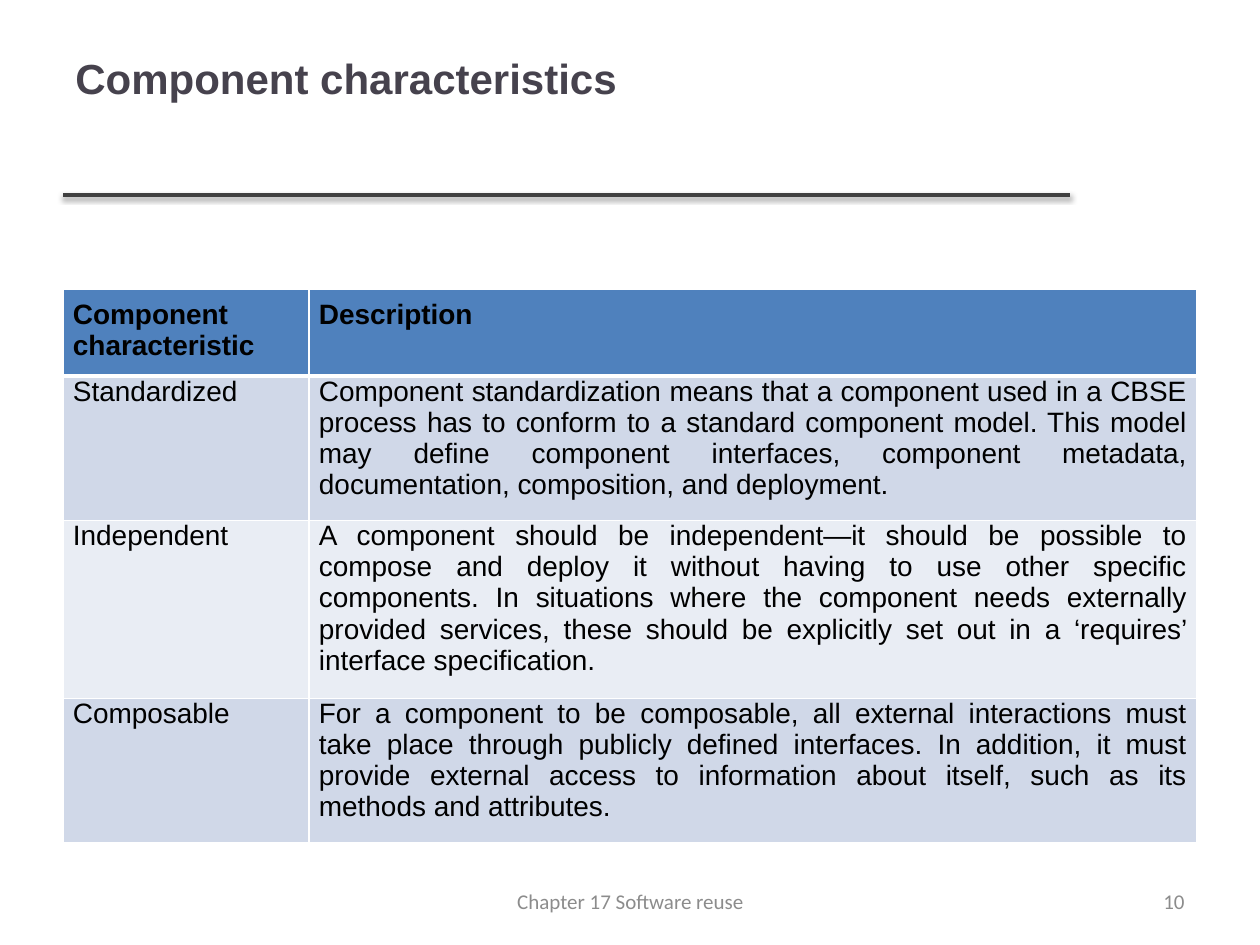
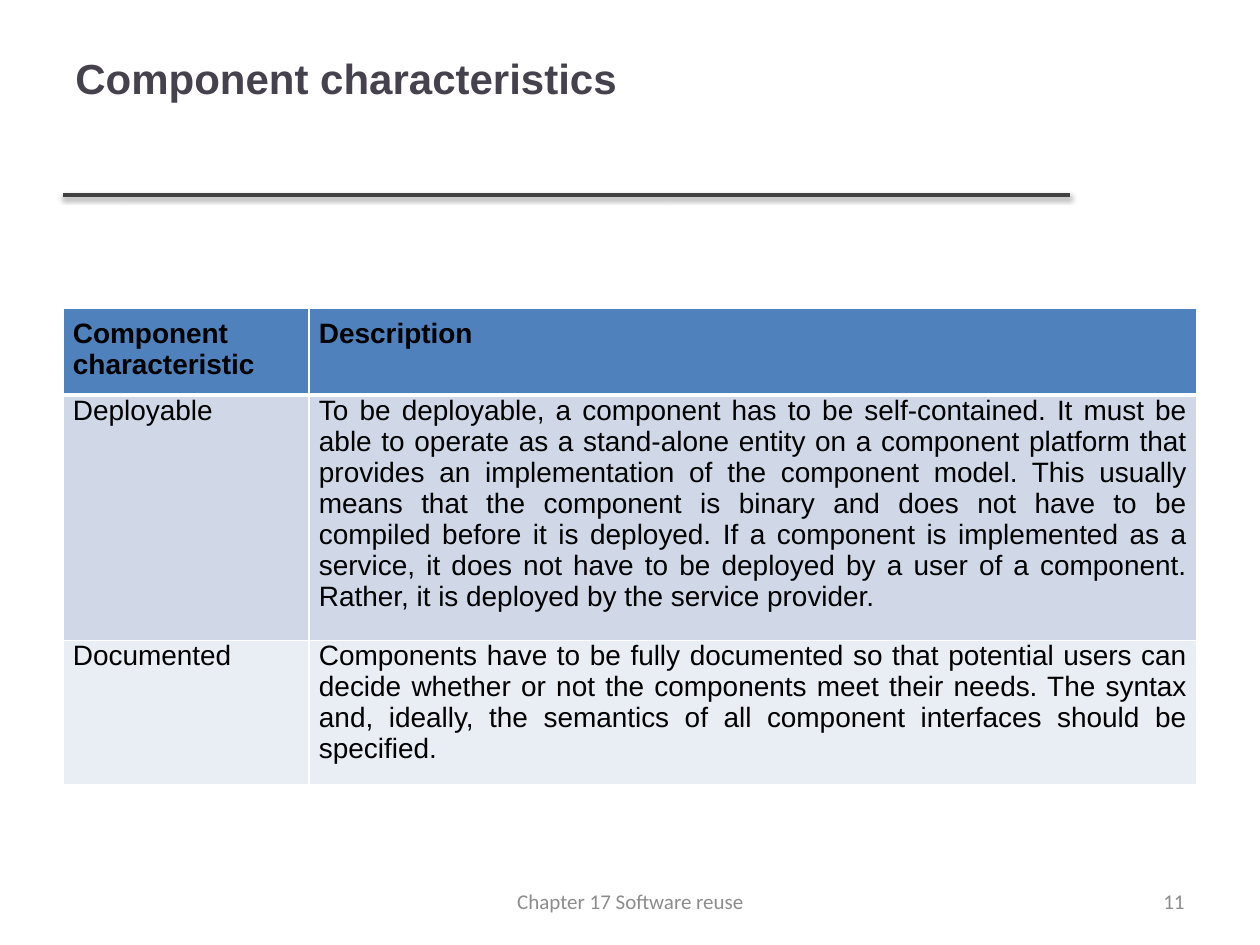
import dataclasses

import lxml.etree
import pptx
import pptx.dml.color
import pptx.enum.shapes
import pptx.enum.text
import pptx.oxml
import pptx.oxml.ns
import pptx.util

ALIGN = pptx.enum.text.PP_ALIGN
PX = 914400 / 126  # EMU in one px


@dataclasses.dataclass(frozen=True)
class Theme:
    title: str = "46424D"
    rule: str = "404040"
    foot: str = "8C8C8C"
    ink: str = "000000"
    head: str = "4F81BD"
    bands: tuple = ("D0D8E8", "E9EDF4")
    edge: str = "FFFFFF"
    font: str = "Arial"
    small: str = "Calibri"
    title_pt: int = 24
    cell_pt: int = 16
    foot_pt: int = 12


THEME = Theme()
LEFT, WIDE = 63, 1134
COLS = (246, 888)
HEAD_H, LINE_H, PAD = 82, 31, 10
HEADS = ("Component characteristic", "Description")

# Each row: name, description, number of text lines
PAGES = (
    (10, 289, (
        ("Standardized",
         "Component standardization means that a component used in a CBSE process "
         "has to conform to a standard component model. This model may define "
         "component interfaces, component metadata, documentation, composition, "
         "and deployment.", 4),
        ("Independent",
         "A component should be independent—it should be possible to compose and "
         "deploy it without having to use other specific components. In situations "
         "where the component needs externally provided services, these should be "
         "explicitly set out in a ‘requires’ interface specification.", 5),
        ("Composable",
         "For a component to be composable, all external interactions must take "
         "place through publicly defined interfaces. In addition, it must provide "
         "external access to information about itself, such as its methods and "
         "attributes.", 4),
    )),
    (11, 308, (
        ("Deployable",
         "To be deployable, a component has to be self-contained. It must be able "
         "to operate as a stand-alone entity on a component platform that provides "
         "an implementation of the component model. This usually means that the "
         "component is binary and does not have to be compiled before it is "
         "deployed. If a component is implemented as a service, it does not have "
         "to be deployed by a user of a component. Rather, it is deployed by the "
         "service provider.", 7),
        ("Documented",
         "Components have to be fully documented so that potential users can "
         "decide whether or not the components meet their needs. The syntax and, "
         "ideally, the semantics of all component interfaces should be "
         "specified.", 4),
    )),
)


def emu(px):
    return pptx.util.Emu(round(px * PX))


def rgb(code):
    return pptx.dml.color.RGBColor.from_string(code)


def write(frame, text, font, size, color, align, bold=False):
    para = frame.paragraphs[0]
    para.alignment = align
    run = para.add_run()
    run.text = text
    run.font.name = font
    run.font.size = pptx.util.Pt(size)
    run.font.bold = bold
    run.font.color.rgb = rgb(color)


def label(slide, box, text, font, size, color, align, bold=False):
    frame = slide.shapes.add_textbox(*map(emu, box)).text_frame
    frame.word_wrap = True
    frame.vertical_anchor = pptx.enum.text.MSO_ANCHOR.MIDDLE
    write(frame, text, font, size, color, align, bold)


def rule(slide):
    line = slide.shapes.add_connector(
        pptx.enum.shapes.MSO_CONNECTOR.STRAIGHT,
        emu(LEFT), emu(195), emu(1070), emu(195))
    line.line.color.rgb = rgb(THEME.rule)
    line.line.width = pptx.util.Pt(2)
    # Soft shadow straight below the line
    line._element.spPr.append(pptx.oxml.parse_xml(
        f'<a:effectLst {pptx.oxml.ns.nsdecls("a")}>'
        '<a:outerShdw blurRad="39370" dist="20320" dir="5400000" rotWithShape="0">'
        '<a:srgbClr val="000000"><a:alpha val="38000"/></a:srgbClr>'
        '</a:outerShdw></a:effectLst>'))


def edges(cell, widths):
    props = cell._tc.get_or_add_tcPr()
    for spot, (side, width) in enumerate(zip("LRTB", widths)):
        line = lxml.etree.Element(pptx.oxml.ns.qn("a:ln" + side),
                                  w=str(pptx.util.Pt(width)))
        fill = lxml.etree.SubElement(line, pptx.oxml.ns.qn("a:solidFill"))
        lxml.etree.SubElement(fill, pptx.oxml.ns.qn("a:srgbClr"), val=THEME.edge)
        props.insert(spot, line)


def fill_cell(cell, text, row):
    head = row == 0
    cell.margin_left = cell.margin_right = cell.margin_bottom = emu(10)
    cell.margin_top = emu(10 if head else 0)
    cell.fill.solid()
    cell.fill.fore_color.rgb = rgb(THEME.head if head else THEME.bands[(row - 1) % 2])
    edges(cell, (1, 1, 3 if row == 1 else 1, 3 if head else 1))
    write(cell.text_frame, text, THEME.font, THEME.cell_pt, THEME.ink,
          ALIGN.JUSTIFY, head)


def grid(slide, top, rows):
    highs = [HEAD_H] + [lines * LINE_H + PAD for _, _, lines in rows]
    table = slide.shapes.add_table(
        len(highs), len(COLS), emu(LEFT), emu(top), emu(WIDE), emu(sum(highs))).table
    table.first_row = table.horz_banding = False
    for col, width in zip(table.columns, COLS):
        col.width = emu(width)
    texts = [HEADS] + [row[:2] for row in rows]
    for r, (high, pair) in enumerate(zip(highs, texts)):
        table.rows[r].height = emu(high)
        for c, text in enumerate(pair):
            fill_cell(table.cell(r, c), text, r)


def footer(slide, number):
    style = (THEME.small, THEME.foot_pt, THEME.foot)
    label(slide, (903, 876, 294, 50), str(number), *style, ALIGN.RIGHT)
    label(slide, (431, 876, 399, 50), "Chapter 17 Software reuse", *style, ALIGN.CENTER)


def main():
    deck = pptx.Presentation()
    deck.slide_width, deck.slide_height = emu(1260), emu(945)
    for number, top, rows in PAGES:
        slide = deck.slides.add_slide(deck.slide_layouts[6])
        rule(slide)
        label(slide, (LEFT, -1, WIDE, 158), "Component characteristics",
              THEME.font, THEME.title_pt, THEME.title, ALIGN.LEFT, True)
        grid(slide, top, rows)
        footer(slide, number)
    deck.save("out.pptx")


if __name__ == "__main__":
    main()
